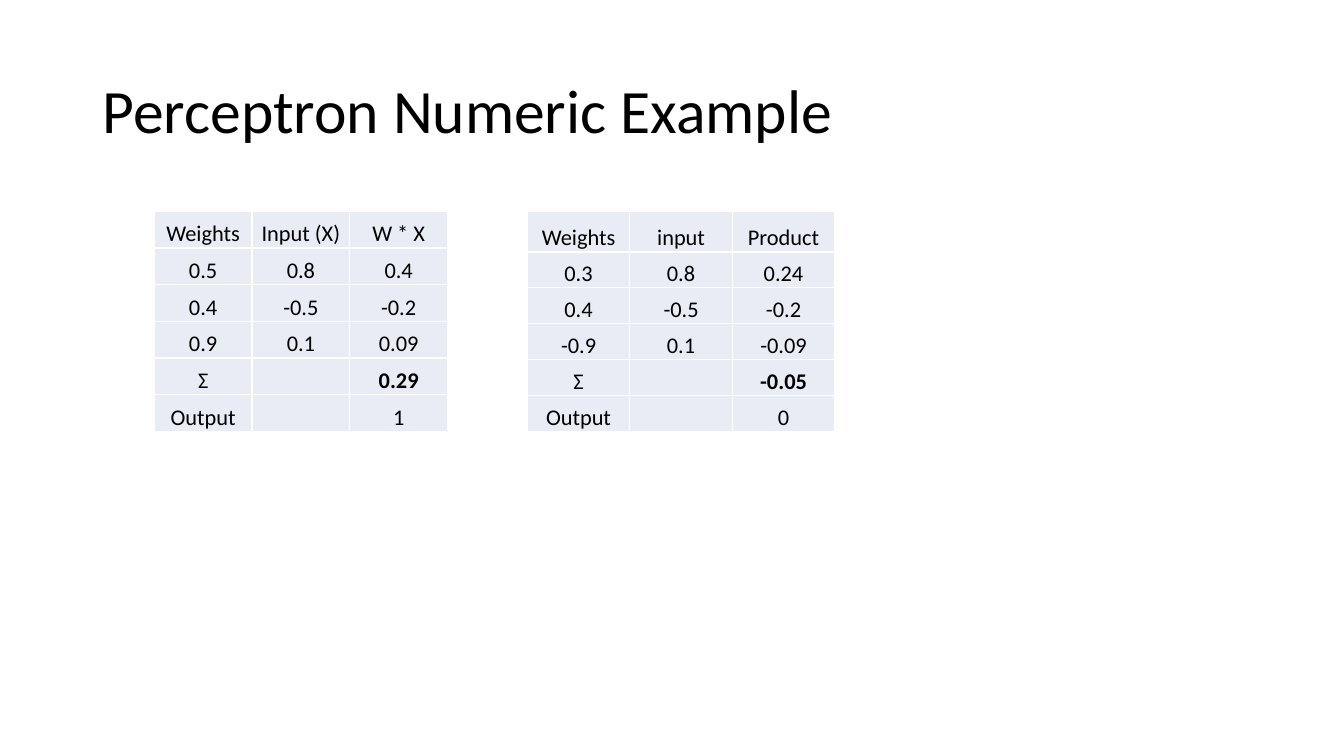
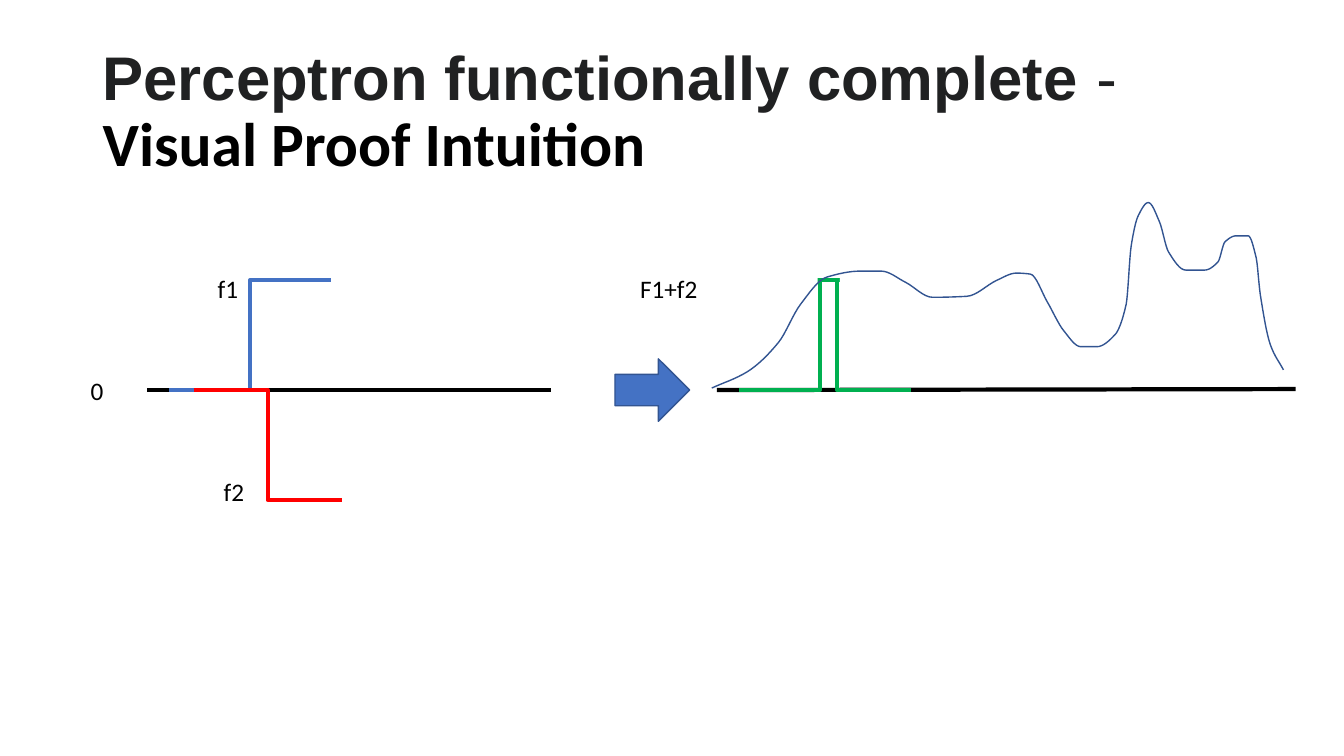
from dataclasses import dataclass
from itertools import pairwise

from lxml import etree
from pptx import Presentation
from pptx.dml.color import RGBColor
from pptx.enum.shapes import MSO_CONNECTOR, MSO_SHAPE
from pptx.enum.text import MSO_ANCHOR, PP_ALIGN
from pptx.oxml.ns import qn
from pptx.util import Inches, Pt

STRAIGHT, ELBOW = MSO_CONNECTOR.STRAIGHT, MSO_CONNECTOR.ELBOW
RECTANGLE, RIGHT_ARROW = MSO_SHAPE.RECTANGLE, MSO_SHAPE.RIGHT_ARROW
MIDDLE, BOTTOM = MSO_ANCHOR.MIDDLE, MSO_ANCHOR.BOTTOM
CENTER = PP_ALIGN.CENTER

COLORS = {
    "text": "000000",
    "heading": "202122",
    "white": "FFFFFF",
    "cell": "E9EBF5",
    "blue": "4472C4",
    "outline": "325491",
    "red": "FF0000",
    "green": "00B050",
}
BODY_FONT, HEADING_FONT = "Calibri", "Arial"
TITLE_SIZE, LABEL_SIZE, CELL_SIZE = 44, 18, 16
LABEL_HEIGHT = 0.4

TABLE_TOP, TABLE_HEIGHT = 2.1, 2.18
INPUTS = (0.8, -0.5, 0.1)

AXIS = 3.87  # height of the zero line on the page
STEP = 1.09  # rise of f1 and drop of f2
SUM_SHIFT = 5.65  # distance from f1 and f2 to their sum
SAMPLES = 8  # line segments between two knots of the curve

Point = tuple[float, float]


@dataclass(frozen=True)
class Span:
    text: str
    font: str = BODY_FONT
    color: str = "text"
    bold: bool = False


@dataclass(frozen=True)
class Perceptron:
    left: float
    width: float
    header_height: float
    headings: tuple[str, str, str]
    weights: tuple[float, float, float]

    def rows(self) -> list[tuple[str, str, str]]:
        products = [weight * value for weight, value in zip(self.weights, INPUTS)]
        total = sum(products)
        numbers = zip(self.weights, INPUTS, products)
        return [
            self.headings,
            *(tuple(format_number(value) for value in row) for row in numbers),
            ("Σ", "", format_number(total)),
            ("Output", "", "1" if total > 0 else "0"),
        ]


@dataclass(frozen=True)
class Label:
    text: str
    left: float
    top: float
    width: float


@dataclass(frozen=True)
class StepFunction:
    left: float
    width: float
    height: float
    color: str


PERCEPTRONS = (
    Perceptron(1.53, 2.91, 0.36, ("Weights", "Input (X)", "W * X"), (0.5, 0.4, 0.9)),
    Perceptron(5.23, 3.05, 0.4, ("Weights", "input", "Product"), (0.3, 0.4, -0.9)),
)

LABELS = (
    Label("0", 0.8, 3.67, 0.45),
    Label("f1", 2.06, 2.66, 0.41),
    Label("f2", 2.12, 4.68, 0.41),
    Label("F1+f2", 6.25, 2.66, 0.84),
)

F1 = StepFunction(1.68, 1.6, STEP, "blue")
F2 = StepFunction(1.92, 1.47, -STEP, "red")

# Each stretch of the curve, as the knots it runs through.
CURVE = {
    "first rise": ((7.06, 3.85), (7.41, 3.69), (7.72, 3.4), (7.94, 3.02), (8.2, 2.75)),
    "first hill": ((8.54, 2.69), (8.74, 2.69), (8.98, 2.8)),
    "shallow valley": ((9.25, 2.95), (9.59, 2.94), (9.89, 2.78)),
    "second hill": ((10.08, 2.71), (10.22, 2.72), (10.39, 3), (10.55, 3.28)),
    "deep valley": ((10.72, 3.44), (10.88, 3.44), (11.06, 3.32), (11.17, 3.02)),
    "peak": ((11.22, 2.44), (11.29, 2.14), (11.39, 2.01), (11.5, 2.2), (11.59, 2.5)),
    "shelf": ((11.76, 2.68), (11.95, 2.68), (12.08, 2.6), (12.15, 2.4)),
    "last hill": ((12.26, 2.34), (12.38, 2.34), (12.46, 2.56)),
    "last fall": ((12.5, 2.92), (12.6, 3.42), (12.73, 3.67)),
}


def format_number(value: float) -> str:
    return f"{round(value, 2):g}"


def rgb(name: str) -> RGBColor:
    return RGBColor.from_string(COLORS[name])


def style_run(run, span: Span, size: int) -> None:
    run.font.name = span.font
    run.font.size = Pt(size)
    run.font.bold = span.bold
    run.font.color.rgb = rgb(span.color)


def add_text(page, left: float, top: float, width: float, height: float,
             spans: tuple[Span, ...], size: int):
    frame = page.shapes.add_textbox(
        Inches(left), Inches(top), Inches(width), Inches(height)).text_frame
    frame.word_wrap = True
    for span in spans:
        run = frame.paragraphs[0].add_run()
        run.text = span.text
        style_run(run, span, size)
    return frame


def add_titled_page(deck, *spans: Span):
    page = deck.slides.add_slide(deck.slide_layouts[6])
    frame = add_text(page, 0.92, 0.4, 11.5, 1.45, spans, TITLE_SIZE)
    frame.vertical_anchor = MIDDLE
    frame.paragraphs[0].line_spacing = 0.9
    return page


def add_cell_borders(cell) -> None:
    properties = cell._tc.get_or_add_tcPr()
    for side in ("lnL", "lnR", "lnT", "lnB"):
        border = etree.SubElement(properties, qn(f"a:{side}"), w=str(Pt(1)))
        fill = etree.SubElement(border, qn("a:solidFill"))
        etree.SubElement(fill, qn("a:srgbClr"), val=COLORS["white"])


def fill_cell(cell, text: str, bold: bool) -> None:
    cell.margin_left = cell.margin_right = cell.margin_top = Inches(0.01)
    cell.margin_bottom = 0
    cell.vertical_anchor = BOTTOM
    add_cell_borders(cell)
    cell.fill.solid()
    cell.fill.fore_color.rgb = rgb("cell")
    cell.text_frame.text = text
    paragraph = cell.text_frame.paragraphs[0]
    paragraph.alignment = CENTER
    for run in paragraph.runs:
        style_run(run, Span(text, bold=bold), CELL_SIZE)


def add_perceptron_table(page, perceptron: Perceptron) -> None:
    rows = perceptron.rows()
    column_count = len(perceptron.headings)
    table = page.shapes.add_table(
        len(rows), column_count, Inches(perceptron.left), Inches(TABLE_TOP),
        Inches(perceptron.width), Inches(TABLE_HEIGHT)).table
    table.first_row = table.horz_banding = False
    for column in table.columns:
        column.width = Inches(perceptron.width / column_count)
    row_height = (TABLE_HEIGHT - perceptron.header_height) / (len(rows) - 1)
    for index, (row, texts) in enumerate(zip(table.rows, rows)):
        row.height = Inches(row_height if index else perceptron.header_height)
        for cell, text in zip(row.cells, texts):
            is_total = texts[0] == "Σ" and text != "Σ"
            fill_cell(cell, text, is_total)


def add_line(page, start: Point, end: Point, color: str = "text",
             kind: MSO_CONNECTOR = STRAIGHT) -> None:
    connector = page.shapes.add_connector(
        kind, *(Inches(value) for value in start + end))
    connector.line.color.rgb = rgb(color)
    connector.line.width = Pt(3)
    etree.SubElement(connector._element.spPr, qn("a:effectLst"))


def add_step(page, step: StepFunction, base: float = AXIS) -> None:
    start = (step.left, base)
    end = (step.left + step.width, base - step.height)
    add_line(page, start, end, step.color, ELBOW)


def add_block(page, kind: MSO_SHAPE, left: float, top: float,
              width: float, height: float, fill: str):
    """Add a filled shape without an outline."""
    shape = page.shapes.add_shape(
        kind, Inches(left), Inches(top), Inches(width), Inches(height))
    shape.shadow.inherit = False
    shape.fill.solid()
    shape.fill.fore_color.rgb = rgb(fill)
    shape.line.fill.background()
    return shape


def set_outline(shape) -> None:
    shape.line.color.rgb = rgb("outline")
    shape.line.width = Pt(1)


def add_sum_pulse(page) -> None:
    """Draw f1 and f2 lifted onto it, then mask all but the pulse between them."""
    for step, base in ((F1, AXIS), (F2, AXIS - STEP)):
        shifted = StepFunction(step.left + SUM_SHIFT, step.width, step.height, "green")
        add_step(page, shifted, base)
    for left in (7.34, 8.33):
        add_block(page, RECTANGLE, left, 2.5, 0.77, 0.68, "white")


def knot_slopes(knots: list[Point]) -> list[float]:
    """Average the slopes beside each knot; lie flat where the curve turns."""
    secants = [(y2 - y1) / (x2 - x1) for (x1, y1), (x2, y2) in pairwise(knots)]
    inner = [2 * before * after / (before + after) if before * after > 0 else 0
             for before, after in pairwise(secants)]
    return [secants[0], *inner, secants[-1]]


def smooth_points(knots: list[Point]) -> list[Point]:
    """Sample a cubic Hermite spline that never overshoots its knots."""
    points = [knots[0]]
    ends = zip(knots, knot_slopes(knots))
    for ((x1, y1), slope1), ((x2, y2), slope2) in pairwise(ends):
        width = x2 - x1
        for sample in range(1, SAMPLES + 1):
            t = sample / SAMPLES
            blend = t * t * (3 - 2 * t)
            bend = t * (1 - t) * (slope1 * (1 - t) - slope2 * t)
            points.append((x1 + t * width, y1 + blend * (y2 - y1) + bend * width))
    return points


def add_curve(page) -> None:
    knots = [knot for stretch in CURVE.values() for knot in stretch]
    start, *rest = [(Inches(x), Inches(y)) for x, y in smooth_points(knots)]
    builder = page.shapes.build_freeform(*start)
    builder.add_line_segments(rest, close=False)
    curve = builder.convert_to_shape()
    curve.shadow.inherit = False
    curve.fill.background()
    set_outline(curve)


def add_example_page(deck) -> None:
    page = add_titled_page(deck, Span("Perceptron Numeric Example"))
    for perceptron in PERCEPTRONS:
        add_perceptron_table(page, perceptron)


def add_proof_page(deck) -> None:
    page = add_titled_page(
        deck,
        Span("Perceptron functionally complete", HEADING_FONT, "heading", True),
        Span(" - ", HEADING_FONT, "heading"),
        Span("Visual Proof Intuition", bold=True),
    )
    add_line(page, (1.46, AXIS), (5.47, AXIS))
    for step in (F1, F2):
        add_step(page, step)
    set_outline(add_block(page, RIGHT_ARROW, 6.1, 3.56, 0.74, 0.62, "blue"))
    add_line(page, (7.11, AXIS), (12.85, 3.86))
    add_sum_pulse(page)
    for label in LABELS:
        add_text(page, label.left, label.top, label.width, LABEL_HEIGHT,
                 (Span(label.text),), LABEL_SIZE)
    add_curve(page)


def main() -> None:
    deck = Presentation()
    deck.slide_width, deck.slide_height = Inches(13.33), Inches(7.5)
    add_example_page(deck)
    add_proof_page(deck)
    deck.save("out.pptx")


if __name__ == "__main__":
    main()
